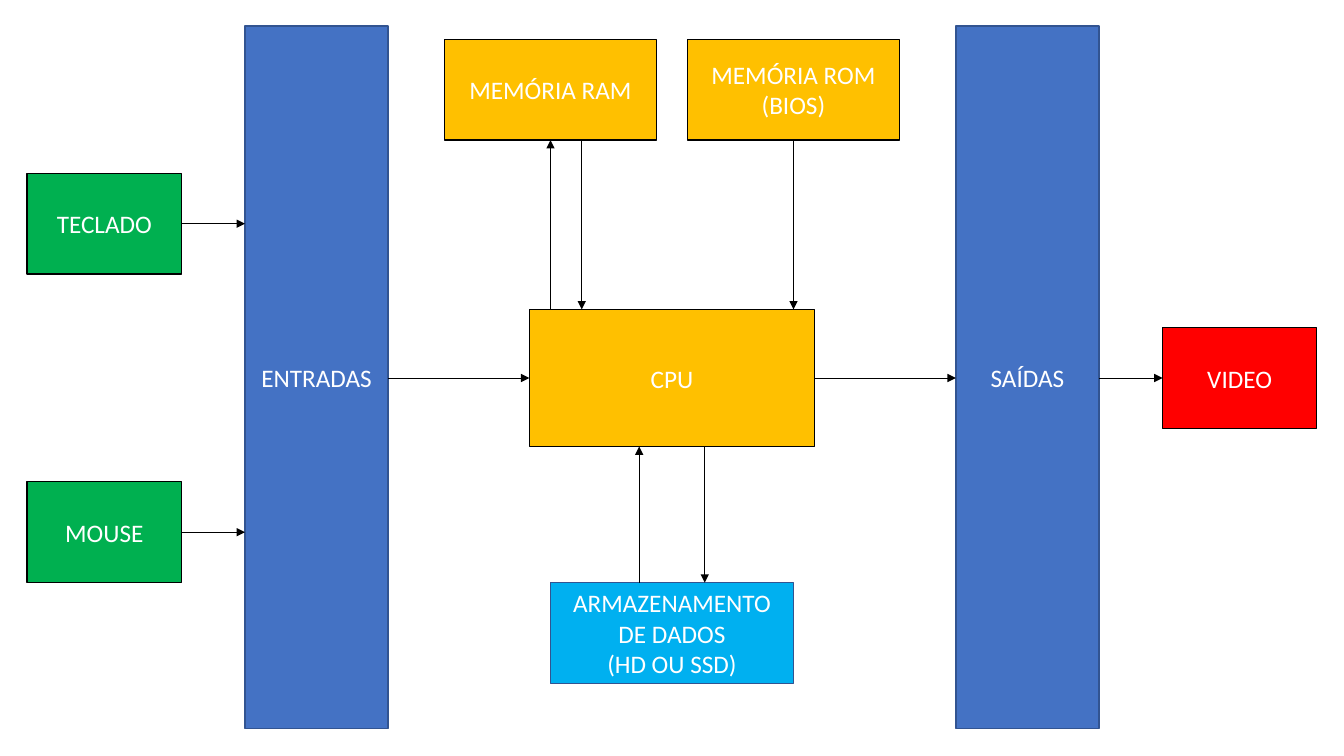
from lxml import etree
from pptx import Presentation
from pptx.dml.color import RGBColor
from pptx.enum import shapes, text
from pptx.oxml import ns
from pptx.util import Inches, Pt

GOLD, BLUE, GREEN, CYAN, RED = "FFC000", "4472C4", "00B050", "00B0F0", "FF0000"
BLACK, NAVY, WHITE = "000000", "325491", "FFFFFF"

# Sizes shared by blocks of the same kind: width, height
BAR, MEMORY, DEVICE = (1.42, 6.97), (2.1, 1), (1.53, 1)


def paint(fill, color):
    """Make a fill (of a shape, line or font) one solid colour."""
    fill.solid()
    fill.fore_color.rgb = RGBColor.from_string(color)


def connect(start, end):
    """Draw a thin black arrow between two points."""
    arrow = slide.shapes.add_connector(
        shapes.MSO_CONNECTOR.STRAIGHT, *start, *end)
    paint(arrow.line.fill, BLACK)
    arrow.line.width = Pt(0.5)
    props = arrow.element.spPr
    line = props.find(ns.qn("a:ln"))
    etree.SubElement(line, ns.qn("a:tailEnd"), type="triangle")
    etree.SubElement(props, ns.qn("a:effectLst"))


deck = Presentation()
deck.slide_width, deck.slide_height = Inches(13.33), Inches(7.5)
slide = deck.slides.add_slide(deck.slide_layouts[6])

# Blocks by name: lines of text, (left, top), (width, height), fill, outline
blocks = {
    "cpu": ("CPU", (5.25, 3.07), (2.83, 1.36), GOLD, BLACK),
    "inputs": ("ENTRADAS", (2.43, 0.26), BAR, BLUE, NAVY),
    "outputs": ("SAÍDAS", (9.48, 0.26), BAR, BLUE, NAVY),
    "ram": ("MEMÓRIA RAM", (4.41, 0.39), MEMORY, GOLD, BLACK),
    "rom": ("MEMÓRIA ROM\n(BIOS)", (6.82, 0.39), MEMORY, GOLD, BLACK),
    "disk": ("ARMAZENAMENTO DE DADOS\n(HD OU SSD)",
             (5.46, 5.78), (2.41, 1), CYAN, NAVY),
    "keyboard": ("TECLADO", (0.27, 1.72), DEVICE, GREEN, BLACK),
    "mouse": ("MOUSE", (0.27, 4.78), DEVICE, GREEN, BLACK),
    "video": ("VIDEO", (11.53, 3.25), DEVICE, RED, BLACK),
}
style = {"name": "Calibri", "size": Pt(18)}
boxes = {}
for name, (label, place, size, color, edge) in blocks.items():
    box = slide.shapes.add_shape(
        shapes.MSO_SHAPE.RECTANGLE, *map(Inches, place + size))
    box.shadow.inherit = False
    paint(box.fill, color)
    paint(box.line.fill, edge)
    box.line.width = Pt(1)
    frame = box.text_frame
    frame.word_wrap = True
    frame.vertical_anchor = text.MSO_ANCHOR.MIDDLE
    frame.text = label
    for para in frame.paragraphs:
        para.alignment = text.PP_ALIGN.CENTER
        font = para.runs[0].font
        for key, value in style.items():
            setattr(font, key, value)
        paint(font.fill, WHITE)
    boxes[name] = box

# Level arrows run from right edge to left edge, at the middle of the shorter box
flows = [("keyboard", "inputs"), ("mouse", "inputs"), ("inputs", "cpu"),
         ("cpu", "outputs"), ("outputs", "video")]
for source, target in flows:
    first, last = boxes[source], boxes[target]
    short = min(first, last, key=lambda box: box.height)
    y = short.top + short.height // 2
    connect((first.left + first.width, y), (last.left, y))

# Upright arrows join the facing edges of two boxes, at a given x
drops = [("rom", "cpu", 7.87), ("ram", "cpu", 5.77), ("cpu", "ram", 5.46),
         ("disk", "cpu", 6.34), ("cpu", "disk", 6.99)]
for source, target, x in drops:
    first, last = boxes[source], boxes[target]
    if first.top < last.top:
        start, end = first.top + first.height, last.top
    else:
        start, end = first.top, last.top + last.height
    connect((Inches(x), start), (Inches(x), end))

deck.save("out.pptx")
